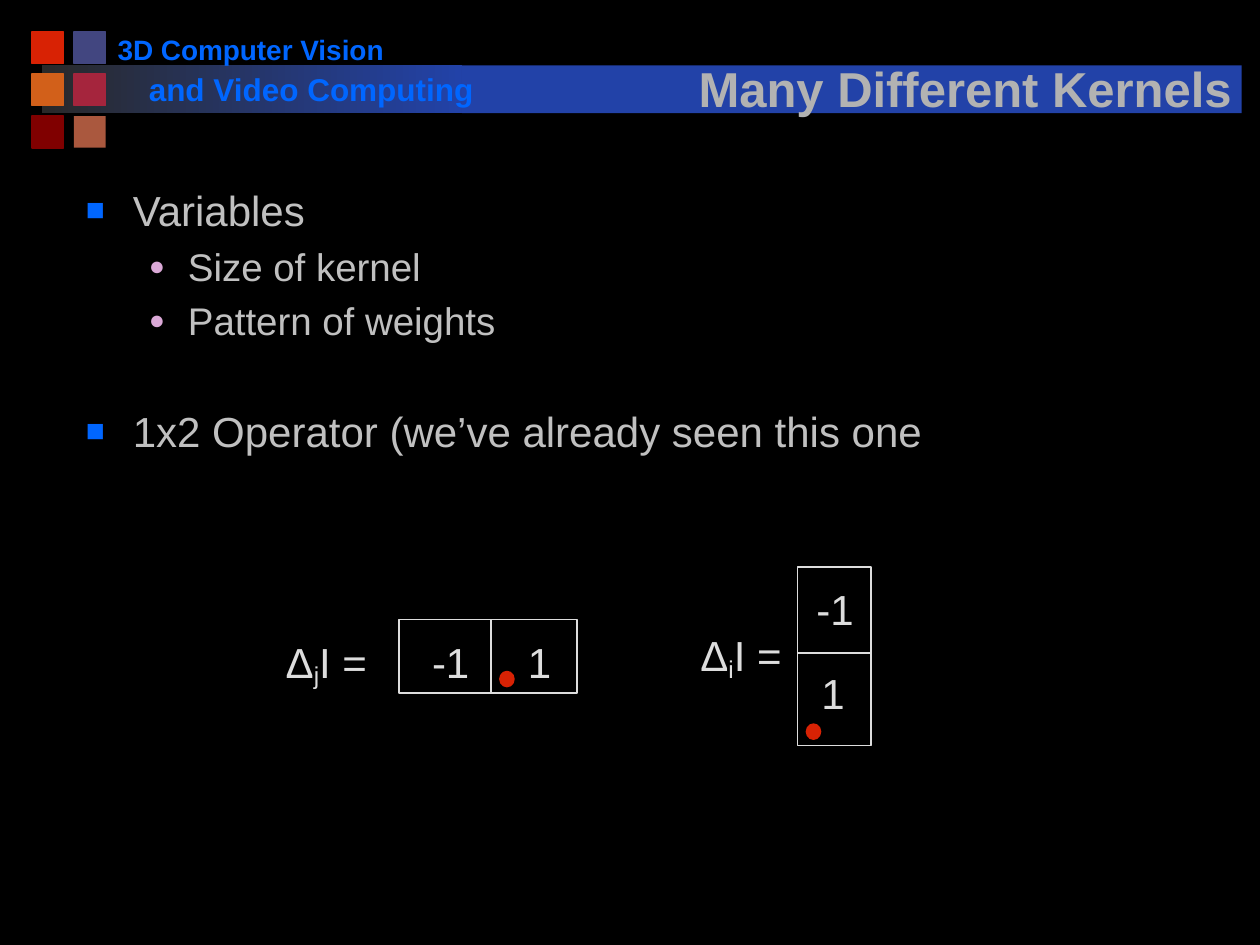
import lxml.etree
import pptx
import pptx.dml.color
import pptx.enum.shapes
import pptx.enum.text
import pptx.oxml.ns
import pptx.util

Cm, Pt, qn = pptx.util.Cm, pptx.util.Pt, pptx.oxml.ns.qn
SHAPES = pptx.enum.shapes.MSO_SHAPE
FONT = "Arial"
COLORS = {
    "background": "000000", "band start": "292929", "band": "2242A8",
    "header": "0066FF", "title": "B2B2B2", "body": "C0C0C0",
    "kernel": "DDDDDD", "dot": "D82204", "square bullet": "0066FF",
    "round bullet": "DBA9D7", "red": "D82204", "indigo": "424680",
    "orange": "D2601A", "crimson": "A5253D", "maroon": "800000",
    "copper": "AA583E",
}


def rgb(name):
    return pptx.dml.color.RGBColor.from_string(COLORS[name])


class Slide:
    def __init__(self, deck):
        self.page = deck.slides.add_slide(deck.slide_layouts[5])
        self.page.background.fill.solid()
        self.page.background.fill.fore_color.rgb = rgb("background")

    def style(self, para, size, color, bold=False):
        for span in para.runs:
            span.font.name = FONT
            span.font.size = Pt(size)
            span.font.bold = bold
            span.font.color.rgb = rgb(color)

    def title(self, text, left, top, width, height):
        box = self.page.shapes.title
        box.left, box.top, box.width, box.height = map(Cm, (left, top, width, height))
        # Bring the title in front of the band drawn so far
        box._element.getparent().append(box._element)
        frame = box.text_frame
        frame.text = text
        frame.word_wrap = True
        frame.vertical_anchor = pptx.enum.text.MSO_ANCHOR.BOTTOM
        para = frame.paragraphs[0]
        para.alignment = pptx.enum.text.PP_ALIGN.CENTER
        self.style(para, 28, "title", True)
        # Text shadow, placed right after the fill of the run
        fill = para.runs[0].font.fill._xPr.find(qn("a:solidFill"))
        effects = lxml.etree.Element(qn("a:effectLst"))
        shadow = lxml.etree.SubElement(effects, qn("a:outerShdw"), dist="38100", dir="2700000")
        lxml.etree.SubElement(shadow, qn("a:srgbClr"), val=COLORS["background"])
        fill.addnext(effects)

    def text(self, text, left, top, width, height, size, color, bold=False, wrap=False):
        box = self.page.shapes.add_textbox(*map(Cm, (left, top, width, height)))
        box.text_frame.word_wrap = wrap
        box.text_frame.text = text
        self.style(box.text_frame.paragraphs[0], size, color, bold)
        return box

    def formula(self, index, left, top):
        box = self.text("Δ", left, top, 2.34, 1.27, 24, "kernel")
        para = box.text_frame.paragraphs[0]
        for part in (index, "I ="):
            para.add_run().text = part
        self.style(para, 24, "kernel")
        para.runs[1].font._element.set("baseline", "-15000")

    def bullets(self, items, left, top, width, height):
        box = self.page.shapes.add_textbox(*map(Cm, (left, top, width, height)))
        frame = box.text_frame
        frame.word_wrap = True
        frame.text = "\n".join(text for text, level, gap in items)
        # Per level: left margin, hanging indent, mark, colour, mark size, text size
        levels = [(0.95, 0.95, "■", "square bullet", 75, 24),
                  (2.06, 0.79, "●", "round bullet", 70, 22)]
        for para, (text, level, gap) in zip(frame.paragraphs, items):
            margin, hanging, mark, color, percent, size = levels[level]
            para.level = level
            props = para._p.get_or_add_pPr()
            props.set("marL", str(Cm(margin)))
            props.set("indent", str(-Cm(hanging)))
            paint = lxml.etree.SubElement(props, qn("a:buClr"))
            lxml.etree.SubElement(paint, qn("a:srgbClr"), val=COLORS[color])
            lxml.etree.SubElement(props, qn("a:buSzPct"), val=str(percent * 1000))
            lxml.etree.SubElement(props, qn("a:buFont"), typeface=FONT)
            lxml.etree.SubElement(props, qn("a:buChar"), char=mark)
            para.space_before = Pt(gap)
            self.style(para, size, "body")

    def shape(self, kind, left, top, width, height, fill=None, line=None):
        shape = self.page.shapes.add_shape(kind, *map(Cm, (left, top, width, height)))
        shape.shadow.inherit = False
        if fill:
            shape.fill.solid()
            shape.fill.fore_color.rgb = rgb(fill)
        else:
            shape.fill.background()
        if line:
            shape.line.color.rgb = rgb(line)
            shape.line.width = Pt(1)
        else:
            shape.line.fill.background()
        return shape

    def line(self, x1, y1, x2, y2):
        line = self.page.shapes.add_connector(
            pptx.enum.shapes.MSO_CONNECTOR.STRAIGHT, *map(Cm, (x1, y1, x2, y2)))
        line.line.color.rgb = rgb("kernel")
        line.line.width = Pt(1)
        lxml.etree.SubElement(line._element.spPr, qn("a:effectLst"))

    def kernel(self, frame, divider, numbers, dot):
        for text, left, top in numbers:
            self.text(text, left, top, 1.27, 1.27, 24, "kernel")
        self.shape(SHAPES.RECTANGLE, *frame, line="kernel")
        self.line(*divider)
        self.shape(SHAPES.OVAL, *dot, 0.28, 0.3, "dot", "dot")


def main():
    deck = pptx.Presentation()
    deck.slide_width, deck.slide_height = Cm(25.4), Cm(19.05)
    slide = Slide(deck)

    # Header band: a gradient part, then a plain part
    fade = slide.shape(SHAPES.RECTANGLE, 0.85, 1.32, 8.46, 0.96, "band")
    fade.fill.gradient()
    fade.fill.gradient_angle = 0
    for stop, color in zip(fade.fill.gradient_stops, ("band start", "band")):
        stop.color.rgb = rgb(color)
    slide.shape(SHAPES.RECTANGLE, 9.31, 1.32, 15.72, 0.96, "band")

    # Coloured squares, two columns by three rows
    squares = [("red", "indigo"), ("orange", "crimson"), ("maroon", "copper")]
    for row, colors in enumerate(squares):
        for column, color in enumerate(colors):
            outline = None if color == "copper" else color
            slide.shape(SHAPES.RECTANGLE, 0.64 + 0.85 * column, 0.64 + 0.85 * row,
                        0.64, 0.64, color, outline)

    # Course name and title
    slide.text("3D Computer Vision", 2.12, 0.54, 5.9, 0.94, 16, "header", True)
    slide.text("and Video Computing", 2.75, 1.28, 7.2, 1.02, 18, "header", True, True)
    slide.title("Many Different Kernels", 13.51, 0.79, 11.89, 1.7)

    # Body
    slide.bullets([("Variables", 0, 0), ("Size of kernel", 1, 4.4),
                   ("Pattern of weights", 1, 4.4),
                   ("1x2 Operator (we’ve already seen this one", 0, 36)],
                  1.48, 3.6, 21.8, 6)

    # Horizontal and vertical kernels
    slide.kernel((8.04, 12.49, 3.6, 1.48), (9.9, 12.49, 9.9, 13.97),
                 [("-1", 8.46, 12.7), ("1", 10.39, 12.7)], (10.08, 13.54))
    slide.kernel((16.08, 11.43, 1.48, 3.6), (16.08, 13.16, 17.56, 13.16),
                 [("-1", 16.21, 11.63), ("1", 16.31, 13.34)], (16.26, 14.6))
    slide.formula("j", 5.51, 12.7)
    slide.formula("i", 13.87, 12.57)

    deck.save("out.pptx")


if __name__ == "__main__":
    main()
